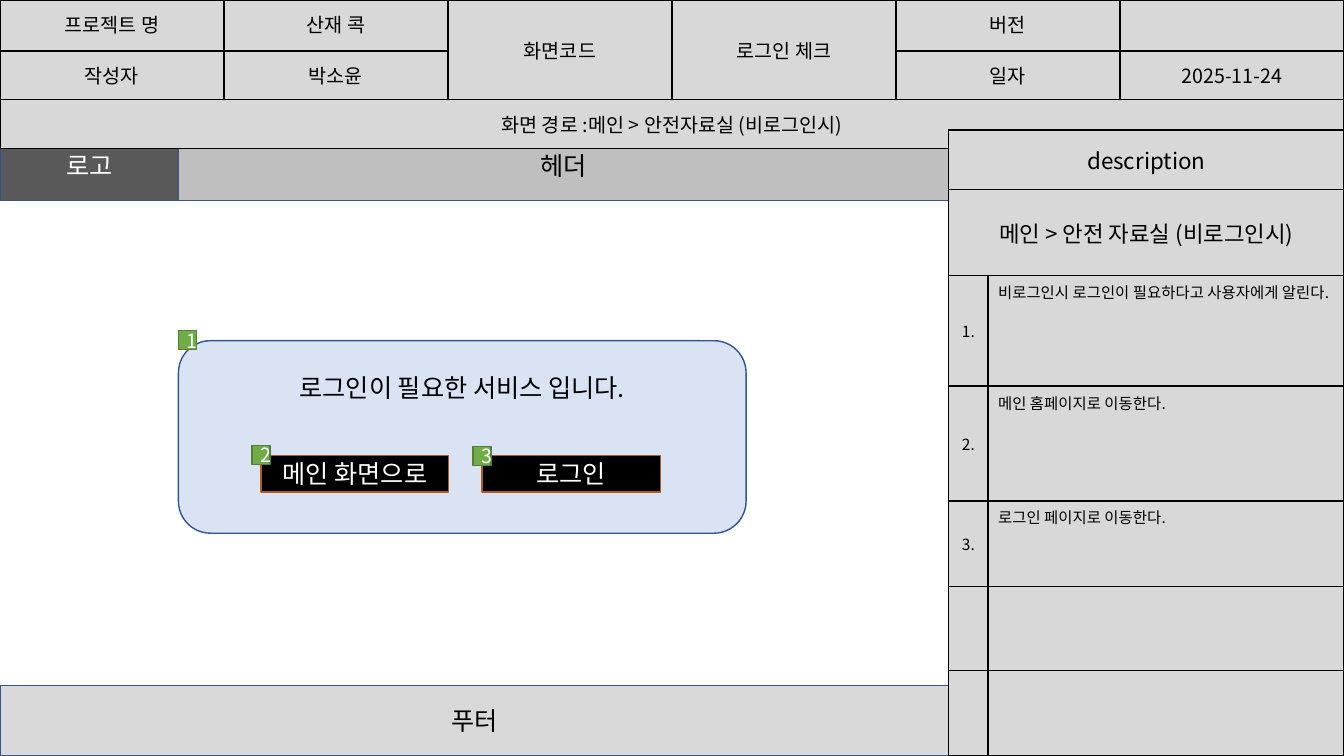
from lxml import etree
from pptx import Presentation
from pptx.dml.color import RGBColor
from pptx.enum.shapes import MSO_SHAPE
from pptx.enum.text import MSO_ANCHOR, PP_ALIGN
from pptx.oxml.ns import qn
from pptx.util import Inches, Pt

RECT, ROUND = MSO_SHAPE.RECTANGLE, MSO_SHAPE.ROUNDED_RECTANGLE
TOP, MIDDLE = MSO_ANCHOR.TOP, MSO_ANCHOR.MIDDLE
LEFT, CENTER = PP_ALIGN.LEFT, PP_ALIGN.CENTER
FONT = "Noto Sans CJK KR"
BLACK, WHITE, GREY = "000000", "FFFFFF", "D8D8D8"
BLUE, ORANGE, GREEN, MOSS = "325491", "AF5C24", "70AD47", "538035"


def color(code):
    return RGBColor.from_string(code)


class Board:
    def __init__(self, slide):
        self.shapes = slide.shapes

    def label(self, frame, text, size, ink=BLACK, align=CENTER):
        frame.text = text
        para = frame.paragraphs[0]
        para.alignment = align
        for run in para.runs:
            run.font.name = FONT
            run.font.size = Pt(size)
            run.font.color.rgb = color(ink)
            east = etree.SubElement(run.font._element, qn("a:ea"))
            east.set("typeface", FONT)

    def box(self, place, text, fill, ink=BLACK, line=BLUE, size=18, kind=RECT):
        shape = self.shapes.add_shape(kind, *map(Inches, place))
        shape.shadow.inherit = False
        shape.fill.solid()
        shape.fill.fore_color.rgb = color(fill)
        shape.line.color.rgb = color(line)
        shape.line.width = Pt(1)
        frame = shape.text_frame
        frame.word_wrap = True
        frame.vertical_anchor = MIDDLE
        self.label(frame, text, size, ink)
        return frame

    def badge(self, left, top, text):
        self.box((left, top, 0.18, 0.19), text, GREEN, WHITE, MOSS, 14)

    def grid(self, left, top, cols, rows):
        place = map(Inches, (left, top, sum(cols), sum(rows)))
        table = self.shapes.add_table(len(rows), len(cols), *place).table
        table.first_row = table.horz_banding = False
        for col, width in zip(table.columns, cols):
            col.width = Inches(width)
        for row, height in zip(table.rows, rows):
            row.height = Inches(height)
        for cell in table.iter_cells():
            self.border(cell)
            cell.fill.solid()
            cell.fill.fore_color.rgb = color(GREY)
        return table

    def border(self, cell):
        props = cell._tc.get_or_add_tcPr()
        for side in "LRTB":
            line = etree.SubElement(props, qn("a:ln" + side), w=str(Pt(1)))
            fill = etree.SubElement(line, qn("a:solidFill"))
            etree.SubElement(fill, qn("a:srgbClr"), val=BLACK)

    def cell(self, cell, text, size, anchor=MIDDLE, align=CENTER, pad=0.05):
        cell.margin_left = cell.margin_right = Inches(0.1)
        cell.margin_top = cell.margin_bottom = Inches(pad)
        cell.vertical_anchor = anchor
        if text:
            self.label(cell.text_frame, text, size, align=align)


def main():
    deck = Presentation()
    deck.slide_width, deck.slide_height = Inches(13.33), Inches(7.5)
    board = Board(deck.slides.add_slide(deck.slide_layouts[6]))

    # Page frame
    board.box((1.77, 1.29, 7.64, 0.7), "헤더", "BFBFBF")
    board.box((0, 1.29, 1.77, 0.7), "로고", "595959", WHITE)
    board.box((0, 6.8, 9.41, 0.7), "푸터", "D9D9D9")

    # Login popup
    popup = board.box((1.77, 3.38, 5.63, 1.91), "로그인이 필요한 서비스 입니다.",
                      "DAE3F3", kind=ROUND)
    popup.vertical_anchor = TOP
    popup.margin_top = Inches(0.22)
    board.box((2.59, 4.52, 1.86, 0.36), "메인 화면으로", BLACK, WHITE, ORANGE)
    board.box((4.78, 4.52, 1.77, 0.36), "로그인", BLACK, WHITE, ORANGE)

    # Number badges
    board.badge(2.5, 4.42, "2")
    board.badge(1.77, 3.28, "1")
    board.badge(4.69, 4.43, "3")

    # Project table
    info = board.grid(0, 0, [13.33 / 6] * 6, [0.41] * 3)
    for col in (2, 3):
        info.cell(0, col).merge(info.cell(1, col))
    info.cell(2, 0).merge(info.cell(2, 5))
    facts = [
        ["프로젝트 명", "산재 콕", "화면코드", "로그인 체크", "버전", ""],
        ["작성자", "박소윤", "", "", "일자", "2025-11-24"],
        ["화면 경로 :메인 > 안전자료실 (비로그인시)"],
    ]
    for row, texts in enumerate(facts):
        for col, text in enumerate(texts):
            cell = info.cell(row, col)
            if not cell.is_spanned:
                anchor = MIDDLE if cell.is_merge_origin and row == 0 else TOP
                board.cell(cell, text, 14, anchor, pad=0.1)

    # Description table
    notes = board.grid(9.41, 1.29, [0.39, 3.53],
                       [0.59, 0.85, 1.1, 1.14, 0.85, 0.83, 0.85])
    heads = ["description", "메인 > 안전 자료실 (비로그인시)"]
    for row, text in enumerate(heads):
        notes.cell(row, 0).merge(notes.cell(row, 1))
        board.cell(notes.cell(row, 0), text, 16)
    steps = ["비로그인시 로그인이 필요하다고 사용자에게 알린다.",
             "메인 홈페이지로 이동한다.", "로그인 페이지로 이동한다."]
    for num, text in enumerate(steps, 1):
        row = num + 1
        board.cell(notes.cell(row, 0), f"{num}.", 11)
        board.cell(notes.cell(row, 1), text, 11, TOP, LEFT)

    deck.save("out.pptx")


if __name__ == "__main__":
    main()
